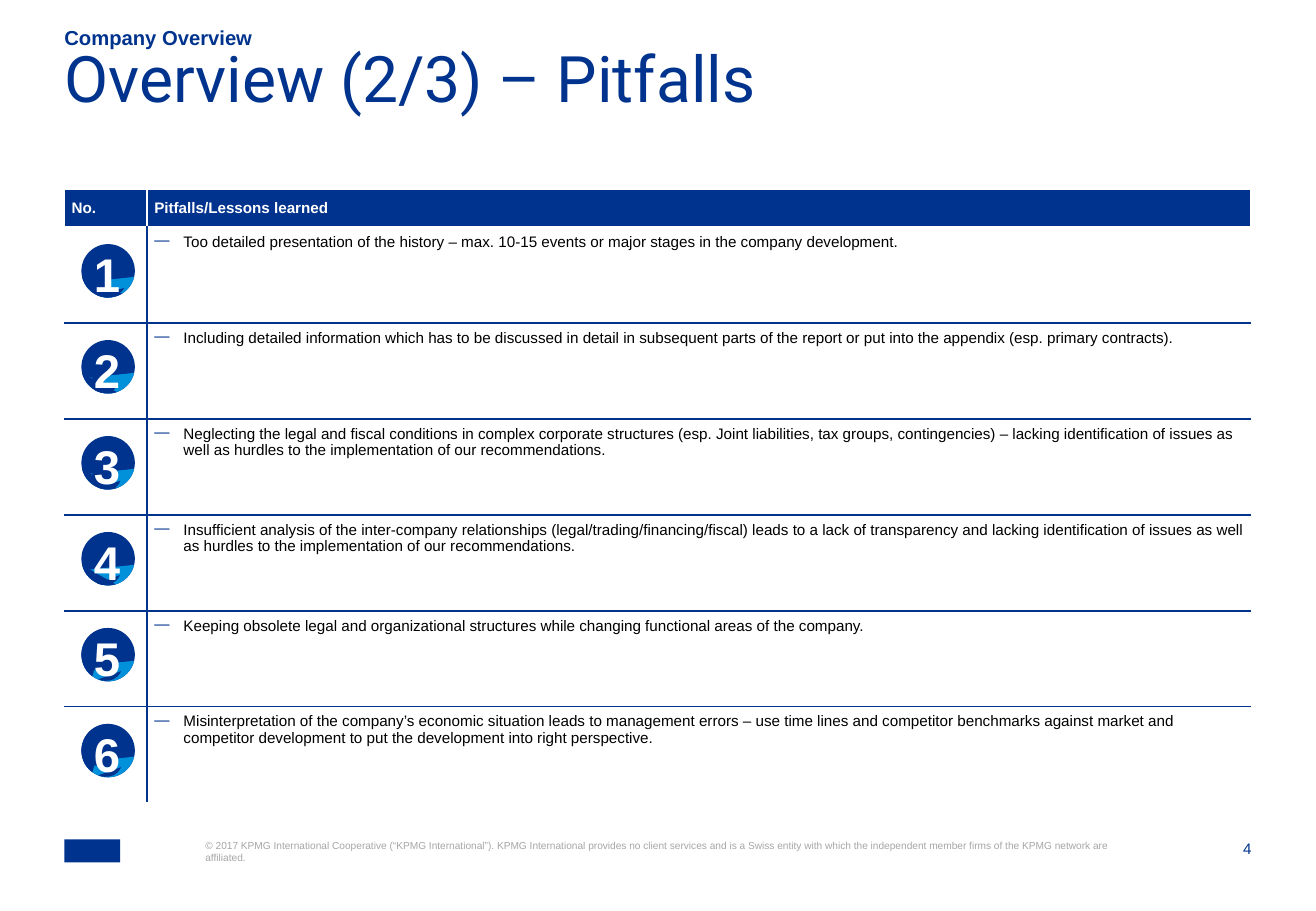
from math import cos, radians, sin

from lxml import etree
from pptx import Presentation
from pptx.dml.color import RGBColor
from pptx.enum.shapes import MSO_SHAPE
from pptx.enum.text import MSO_ANCHOR, PP_ALIGN
from pptx.oxml.ns import qn
from pptx.util import Inches, Pt

RECT, ELLIPSE, CHORD = MSO_SHAPE.RECTANGLE, MSO_SHAPE.OVAL, MSO_SHAPE.CHORD
TOP, MIDDLE, BOTTOM = MSO_ANCHOR.TOP, MSO_ANCHOR.MIDDLE, MSO_ANCHOR.BOTTOM
LEFT, CENTER, RIGHT = PP_ALIGN.LEFT, PP_ALIGN.CENTER, PP_ALIGN.RIGHT

NAVY = RGBColor(0x00, 0x33, 0x8D)
BLUE = RGBColor(0x00, 0x91, 0xDA)
GREY = RGBColor(0xA6, 0xA6, 0xA6)
WHITE = RGBColor(0xFF, 0xFF, 0xFF)
BLACK = RGBColor(0x00, 0x00, 0x00)

MARGIN, TABLE_TOP, HEADER_H, ROW_H = 0.53, 1.56, 0.31, 0.79
COL_WIDTHS = (0.68, 9.08)
BADGE_LEFT, BADGE_TOP, BADGE_SIZE = 0.67, 2.01, 0.44
PATCH_LEFT = 0.76

HEADERS = ("No.", "Pitfalls/Lessons learned")
PITFALLS = (
    "Too detailed presentation of the history – max. 10-15 events or major stages in the company development.",
    "Including detailed information which has to be discussed in detail in subsequent parts of the report "
    "or put into the appendix (esp. primary contracts).",
    "Neglecting the legal and fiscal conditions in complex corporate structures (esp. Joint liabilities, tax "
    "groups, contingencies) – lacking identification of issues as well as hurdles to the implementation of "
    "our recommendations.",
    "Insufficient analysis of the inter-company relationships (legal/trading/financing/fiscal) leads to a lack "
    "of transparency and lacking identification of issues as well as hurdles to the implementation of our "
    "recommendations.",
    "Keeping obsolete legal and organizational structures while changing functional areas of the company.",
    "Misinterpretation of the company’s economic situation leads to management errors – use time lines and "
    "competitor benchmarks against market and competitor development to put the development into right "
    "perspective.",
)
COPYRIGHT = (
    "© 2017 KPMG International Cooperative (“KPMG International”). KPMG International provides no client "
    "services and is a Swiss entity with which the independent member firms of the KPMG network are affiliated."
)

TITLE = {"name": "Roboto", "size": Pt(38), "color": NAVY}
SECTION = {"name": "Arial", "size": Pt(12), "bold": True, "color": NAVY}
FOOTER = {"name": "Arial", "size": Pt(6), "color": GREY}
PAGE_NO = {"name": "Arial", "size": Pt(9), "color": NAVY}
HEAD = {"name": "Arial", "size": Pt(9), "bold": True, "color": WHITE}
BODY = {"name": "Arial", "size": Pt(9), "bold": False, "color": BLACK}
DIGIT = {"name": "Arial", "size": Pt(28), "bold": True, "color": WHITE}

FIVE_SIX = {
    "cover": None,
    "patch": ((0, 0.05), (0.09, 0.21), (0.17, 0.22), (0.16, 0.36), (0, 0.34)),
    "tip": (0.72, 0.14, 0.27, 0.31), "turn": 301.1, "arc": (81.95, 168.3),
}
BADGES = (
    {"cover": 58.23, "patch": ((0, 0.06), (0.15, 0.06), (0.15, 0.37), (0, 0.37)),
     "tip": (0.71, 0.1, 0.34, 0.34), "turn": 315, "arc": (77.05, 166.04)},
    {"cover": 70.86, "patch": ((0, 0.05), (0.19, 0.07), (0.08, 0.37), (0, 0.37)),
     "tip": (0.71, 0.15, 0.23, 0.31), "turn": 306.1, "arc": (81.95, 166.04)},
    {"cover": 71, "patch": ((0, 0.05), (0.16, 0.07), (0.16, 0.35), (0, 0.37)),
     "tip": (0.73, 0.16, 0.23, 0.31), "turn": 298, "arc": (81.95, 166.04)},
    {"cover": 73.73, "patch": ((0, 0.05), (0.16, 0.06), (0.15, 0.28), (0, 0.3)),
     "tip": (0.71, 0.14, 0.27, 0.31), "turn": 301.1, "arc": (81.95, 168.3)},
    FIVE_SIX,
    FIVE_SIX,
)


def write(p, text, fmt, spacing=None, align=LEFT):
    """Write one formatted run into a paragraph."""
    p.alignment = align
    if spacing:
        p.line_spacing = spacing
    r = p.add_run()
    r.text = text
    for key, value in fmt.items():
        if key == "color":
            r.font.color.rgb = value
        else:
            setattr(r.font, key, value)


def add_text(shapes, box, text, fmt, spacing=None, align=LEFT, anchor=TOP):
    """Add a wrapped text box without insets."""
    tf = shapes.add_textbox(*map(Inches, box)).text_frame
    for key in ("margin_left", "margin_top", "margin_right", "margin_bottom"):
        setattr(tf, key, 0)
    tf.word_wrap = True
    tf.vertical_anchor = anchor
    write(tf.paragraphs[0], text, fmt, spacing, align)


def paint(sp, color):
    """Give a shape a plain fill with no line or shadow."""
    sp.shadow.inherit = False
    sp.fill.solid()
    sp.fill.fore_color.rgb = color
    sp.line.fill.background()


def add_plain(shapes, kind, box, color, arc=(), turn=0):
    """Add a plain preset shape, with arc angles in degrees for a chord."""
    sp = shapes.add_shape(kind, *map(Inches, box))
    for i, angle in enumerate(arc):
        sp.adjustments[i] = angle * 0.6
    sp.rotation = turn
    paint(sp, color)


def add_polygon(shapes, points, color):
    """Add a closed outline through points given in inches."""
    points = [(Inches(x), Inches(y)) for x, y in points]
    builder = shapes.build_freeform(*points[0])
    builder.add_line_segments(points[1:], close=True)
    paint(builder.convert_to_shape(), color)


def crescent(top):
    """Return the outline of the dark part of badges five and six."""
    radius = BADGE_SIZE / 2
    rim = [(BADGE_LEFT + radius * (1 + cos(radians(a))), top + radius * (1 + sin(radians(a))))
           for a in range(126, 271, 6)]
    return rim + [(0.97, top + 0.11), (0.84, top + 0.11)]


def add_badge(shapes, number, top, badge):
    """Add a round number badge with a long light shadow."""
    group = shapes.add_group_shape().shapes
    disc = (BADGE_LEFT, top, BADGE_SIZE, BADGE_SIZE)
    left, drop, width, height = badge["tip"]
    add_plain(group, ELLIPSE, disc, NAVY)
    add_plain(group, CHORD, disc, BLUE, (13.23, 154.41))
    if badge["cover"]:
        add_plain(group, CHORD, disc, NAVY, (badge["cover"], 166.04))
    else:
        add_polygon(group, crescent(top), NAVY)
    add_polygon(group, [(PATCH_LEFT + x, top + y) for x, y in badge["patch"]], NAVY)
    add_plain(group, CHORD, (left, top + drop, width, height), NAVY, badge["arc"], badge["turn"])
    tf = group.add_textbox(*map(Inches, (BADGE_LEFT, top - 0.04, 0.42, 0.57))).text_frame
    tf.word_wrap = False
    write(tf.paragraphs[0], str(number), DIGIT, align=CENTER)


def style_cell(cell, fill, borders, anchor=TOP):
    """Set the fill, insets and left, right, top and bottom borders of a cell."""
    tcPr = cell._tc.get_or_add_tcPr()
    for side, color in zip("LRTB", borders):
        ln = etree.SubElement(tcPr, qn(f"a:ln{side}"), w=str(Pt(1)))
        solid = etree.SubElement(ln, qn("a:solidFill"))
        etree.SubElement(solid, qn("a:srgbClr"), val=str(color))
    cell.fill.solid()
    cell.fill.fore_color.rgb = fill
    cell.vertical_anchor = anchor
    for key in ("margin_left", "margin_top", "margin_right", "margin_bottom"):
        setattr(cell, key, Inches(0.06))


def add_dash(p):
    """Give a paragraph a navy dash bullet with a hanging indent."""
    pPr = p._p.get_or_add_pPr()
    pPr.set("marL", str(Inches(0.24)))
    pPr.set("indent", str(-Inches(0.24)))
    clr = etree.SubElement(pPr, qn("a:buClr"))
    etree.SubElement(clr, qn("a:srgbClr"), val=str(NAVY))
    etree.SubElement(pPr, qn("a:buChar"), char="—")


def add_pitfalls(shapes):
    """Add the table of pitfalls."""
    rows = len(PITFALLS) + 1
    box = (MARGIN, TABLE_TOP, sum(COL_WIDTHS), HEADER_H + ROW_H * len(PITFALLS))
    table = shapes.add_table(rows, 2, *map(Inches, box)).table
    for col, width in zip(table.columns, COL_WIDTHS):
        col.width = Inches(width)
    for i, row in enumerate(table.rows):
        row.height = Inches(ROW_H if i else HEADER_H)
    for cell, text in zip(table.rows[0].cells, HEADERS):
        style_cell(cell, NAVY, (WHITE,) * 4, MIDDLE)
        write(cell.text_frame.paragraphs[0], text, HEAD, 0.95)
    for i, text in enumerate(PITFALLS, 1):
        above = WHITE if i == 1 else NAVY
        below = WHITE if i == len(PITFALLS) else NAVY
        style_cell(table.cell(i, 0), WHITE, (WHITE, NAVY, above, below))
        style_cell(table.cell(i, 1), WHITE, (NAVY, WHITE, above, below))
        p = table.cell(i, 1).text_frame.paragraphs[0]
        add_dash(p)
        write(p, text, BODY, 0.95)


def main():
    """Build the slide and save it."""
    prs = Presentation()
    prs.slide_width, prs.slide_height = Inches(10.83), Inches(7.5)
    shapes = prs.slides.add_slide(prs.slide_layouts[6]).shapes
    add_text(shapes, (9.87, 6.91, 0.43, 0.16), "4", PAGE_NO, align=RIGHT)
    add_plain(shapes, RECT, (MARGIN, 6.91, 0.46, 0.19), NAVY)
    add_text(shapes, (1.69, 6.91, 7.49, 0.41), COPYRIGHT, FOOTER)
    add_text(shapes, (MARGIN, 0.22, 9.4, 0.19), "Company Overview", SECTION, anchor=BOTTOM)
    add_text(shapes, (MARGIN, 0.49, 9.76, 0.79), "Overview (2/3) – Pitfalls", TITLE, 0.7)
    add_pitfalls(shapes)
    for i, badge in enumerate(BADGES):
        add_badge(shapes, i + 1, BADGE_TOP + i * ROW_H, badge)
    prs.save("out.pptx")


if __name__ == "__main__":
    main()
